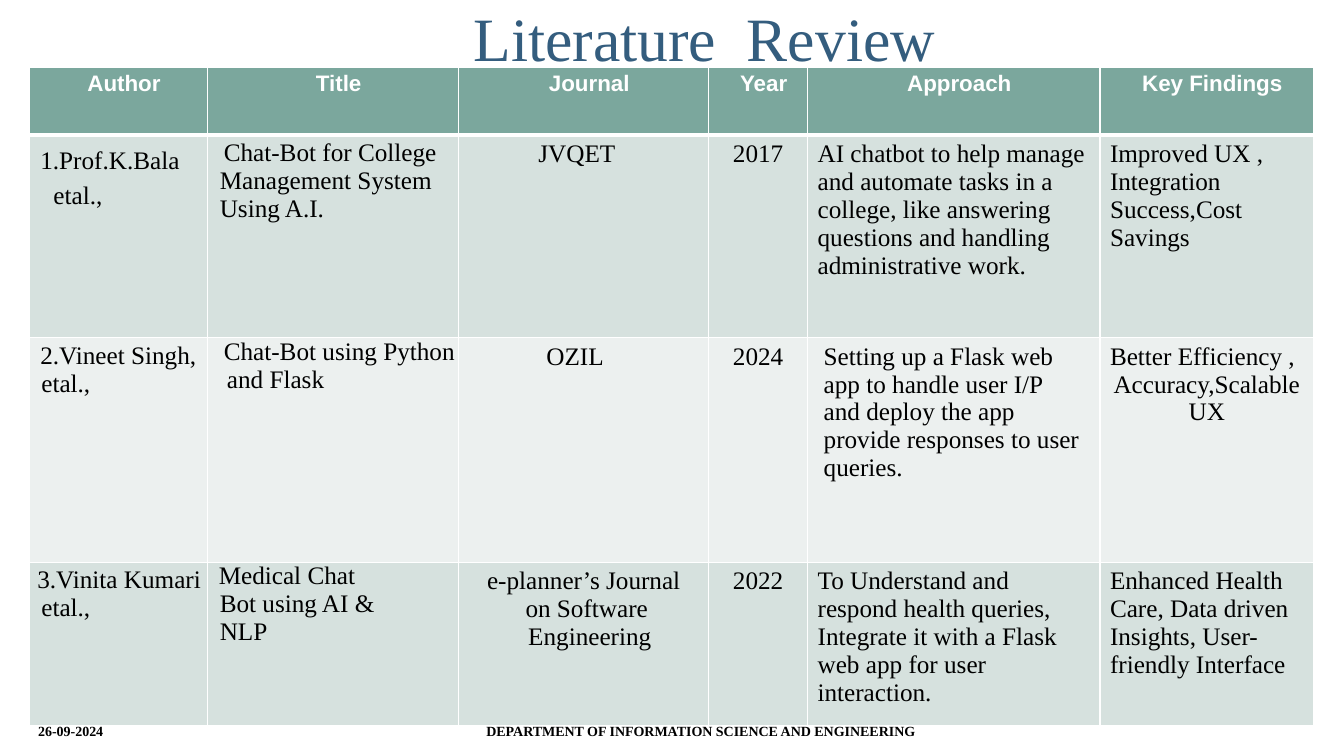
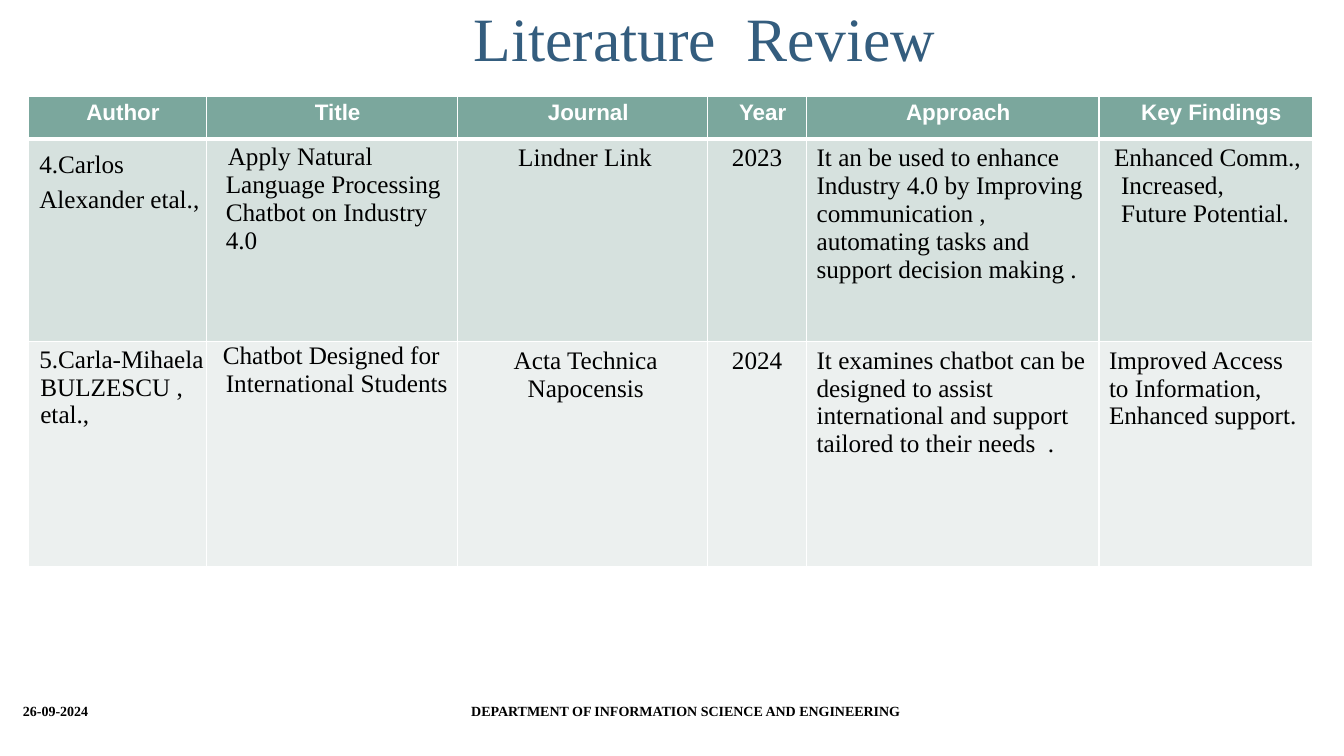
from dataclasses import dataclass

from lxml.etree import SubElement
from pptx import Presentation
from pptx.dml.color import RGBColor
from pptx.enum.text import MSO_ANCHOR as Anchor, MSO_AUTO_SIZE as AutoSize, PP_ALIGN as Align
from pptx.oxml.ns import qn
from pptx.util import Inches, Pt

COLORS = {
    "title": "345D7E",
    "header": "7BA79D",
    "band_dark": "D6E1DE",
    "band_light": "ECF0EF",
    "white": "FFFFFF",
    "black": "000000",
}
SERIF, SANS = "Times New Roman", "Arial"
LEFT, CENTER = (Align.LEFT,), (Align.CENTER,)
HEADINGS = ["Author", "Title", "Journal", "Year", "Approach", "Key Findings"]
COLUMN_WIDTHS = [1.77, 2.49, 2.48, 0.98, 2.9, 2.12]
TITLE_TEXT = "Literature  Review"
DATE_TEXT = "26-09-2024"
DEPARTMENT_TEXT = "DEPARTMENT OF INFORMATION SCIENCE AND ENGINEERING"


@dataclass
class Entry:
    """Cell text, one paragraph per line, with indents and alignments by line."""

    text: str
    indents: tuple = (0,)
    aligns: tuple = LEFT
    spacing: float = 1.0


FIRST_PAPERS = [
    [
        Entry("1.Prof.K.Bala\netal.,", (0.11, 0.24), spacing=1.27),
        Entry("Chat-Bot for College\nManagement System\nUsing A.I.", (0.16, 0.12)),
        Entry("JVQET", (0.69,)),
        Entry("2017", aligns=CENTER),
        Entry("AI chatbot to help manage and automate tasks in a college, "
              "like answering questions and handling administrative work."),
        Entry("Improved UX , Integration Success,Cost Savings"),
    ],
    [
        Entry("2.Vineet Singh,\netal.,", (0.11, 0.12)),
        Entry("Chat-Bot using Python\nand Flask", (0.16, 0.19)),
        Entry("OZIL", (0.77,)),
        Entry("2024", aligns=CENTER),
        Entry("Setting up a Flask web\napp to handle user I/P\nand deploy the app\n"
              "provide responses to user\nqueries.", (0.06,)),
        Entry("Better Efficiency ,\nAccuracy,Scalable\nUX", aligns=LEFT + CENTER),
    ],
    [
        Entry("3.Vinita Kumari\netal.,", (0.08, 0.12)),
        Entry("Medical Chat\nBot using AI &\nNLP", (0.11, 0.12)),
        Entry("e-planner’s Journal\non Software\nEngineering", (0, 0.06, 0.12), CENTER),
        Entry("2022", aligns=CENTER),
        Entry("To Understand and respond health queries,\n"
              "Integrate it with a Flask web app for user interaction."),
        Entry("Enhanced Health\nCare, Data driven\nInsights, User-friendly Interface"),
    ],
]
SECOND_PAPERS = [
    [
        Entry("4.Carlos Alexander etal.,", (0.11,), spacing=1.27),
        Entry("Apply Natural\nLanguage Processing\nChatbot on Industry\n4.0", (0.21, 0.19)),
        Entry("Lindner Link", (0.5,)),
        Entry("2023", aligns=CENTER),
        Entry("It an be used to enhance Industry 4.0 by Improving communication , "
              "automating tasks and support decision making ."),
        Entry("Enhanced Comm.,\nIncreased,\nFuture Potential.", (0.05, 0.12)),
    ],
    [
        Entry("5.Carla-Mihaela\nBULZESCU ,\netal.,", (0.11, 0.12)),
        Entry("Chatbot Designed for\nInternational Students", (0.16, 0.19)),
        Entry("Acta Technica\nNapocensis", (0.06,), CENTER),
        Entry("2024", aligns=CENTER),
        Entry("It examines chatbot can be designed to assist international "
              "and support tailored to their needs  ."),
        Entry("Improved Access\nto Information,\nEnhanced support."),
    ],
]


def write(para, text, size=18, font=SERIF, color="black", bold=False,
          align=Align.LEFT, indent=0, spacing=1.0):
    """Put formatted text in a paragraph."""
    para.alignment = align
    para.line_spacing = spacing
    properties = para._p.get_or_add_pPr()
    properties.set("marL", str(Inches(indent)))
    properties.set("indent", "0")
    span = para.add_run()
    span.text = text
    span.font.size = Pt(size)
    span.font.name = font
    span.font.bold = bold
    span.font.color.rgb = RGBColor.from_string(COLORS[color])


def set_borders(cell, top=1, bottom=1):
    """Draw white borders around a cell, widths in points."""
    properties = cell._tc.get_or_add_tcPr()
    for side, width in (("L", 1), ("R", 1), ("T", top), ("B", bottom)):
        line = SubElement(properties, qn(f"a:ln{side}"), w=str(Pt(width)))
        fill = SubElement(line, qn("a:solidFill"))
        SubElement(fill, qn("a:srgbClr"), val=COLORS["white"])


def fill_cell(cell, entry, fill, margins, **text_format):
    """Write an entry into a cell with the given fill and margins."""
    cell.fill.solid()
    cell.fill.fore_color.rgb = RGBColor.from_string(COLORS[fill])
    side, top, bottom = margins
    cell.margin_left = cell.margin_right = Inches(side)
    cell.margin_top, cell.margin_bottom = Inches(top), Inches(bottom)
    frame = cell.text_frame
    for index, text in enumerate(entry.text.split("\n")):
        para = frame.add_paragraph() if index else frame.paragraphs[0]
        write(para, text, spacing=entry.spacing,
              indent=entry.indents[min(index, len(entry.indents) - 1)],
              align=entry.aligns[min(index, len(entry.aligns) - 1)], **text_format)


def body_margins(row, column):
    """Return side, top and bottom margins of a body cell."""
    if HEADINGS[column] == "Author":
        return 0, 0.04, 0
    if HEADINGS[column] == "Title":
        return 0, 0.04 if row == 1 else 0, 0
    return 0.1, 0.05, 0.05


def add_papers(page, left, top, row_heights, papers):
    """Add the table of reviewed papers."""
    frame = page.shapes.add_table(
        len(row_heights), len(HEADINGS), Inches(left), Inches(top),
        Inches(sum(COLUMN_WIDTHS)), Inches(sum(row_heights)))
    table = frame.table
    table.horz_banding = False
    for column, width in zip(table.columns, COLUMN_WIDTHS):
        column.width = Inches(width)
    for row, height in zip(table.rows, row_heights):
        row.height = Inches(height)
    for column, heading in enumerate(HEADINGS):
        cell = table.cell(0, column)
        set_borders(cell, bottom=3)
        fill_cell(cell, Entry(heading, (0.11,), CENTER), "header", (0, 0.04, 0),
                  size=16, font=SANS, color="white", bold=True)
    for row, entries in enumerate(papers, start=1):
        band = "band_dark" if row % 2 else "band_light"
        for column, entry in enumerate(entries):
            cell = table.cell(row, column)
            set_borders(cell, top=3 if row == 1 else 1)
            fill_cell(cell, entry, band, body_margins(row, column))


def add_title(page):
    """Place and format the slide title."""
    title = page.shapes.title
    title.left, title.top = Inches(1.05), Inches(0)
    title.width, title.height = Inches(11.5), Inches(0.84)
    frame = title.text_frame
    frame.auto_size = AutoSize.NONE
    frame.vertical_anchor = Anchor.MIDDLE
    frame.margin_left = Inches(0.48)
    write(frame.paragraphs[0], TITLE_TEXT, size=44, color="title",
          align=Align.CENTER, spacing=0.85)


def add_footer(page, left, top):
    """Add the date and the centred department name."""
    width = 6.67
    for offset, text, align in ((0, DATE_TEXT, Align.LEFT),
                                (width / 2, DEPARTMENT_TEXT, Align.CENTER)):
        box = page.shapes.add_textbox(
            Inches(left + offset), Inches(top), Inches(width), Inches(0.27))
        box.text_frame.word_wrap = True
        write(box.text_frame.paragraphs[0], text, size=10, bold=True, align=align)


def add_review(deck, table_at, row_heights, papers, footer_at):
    """Add one literature review slide."""
    page = deck.slides.add_slide(deck.slide_layouts[5])
    add_title(page)
    add_papers(page, *table_at, row_heights, papers)
    add_footer(page, *footer_at)


def main():
    """Build and save the deck."""
    deck = Presentation()
    deck.slide_width, deck.slide_height = Inches(13.33), Inches(7.5)
    add_review(deck, (0.29, 0.67), [0.67, 2.01, 2.23, 1.62], FIRST_PAPERS, (0.28, 7.12))
    add_review(deck, (0.28, 0.96), [0.42, 2.01, 2.23], SECOND_PAPERS, (0.13, 6.92))
    deck.save("out.pptx")


if __name__ == "__main__":
    main()
